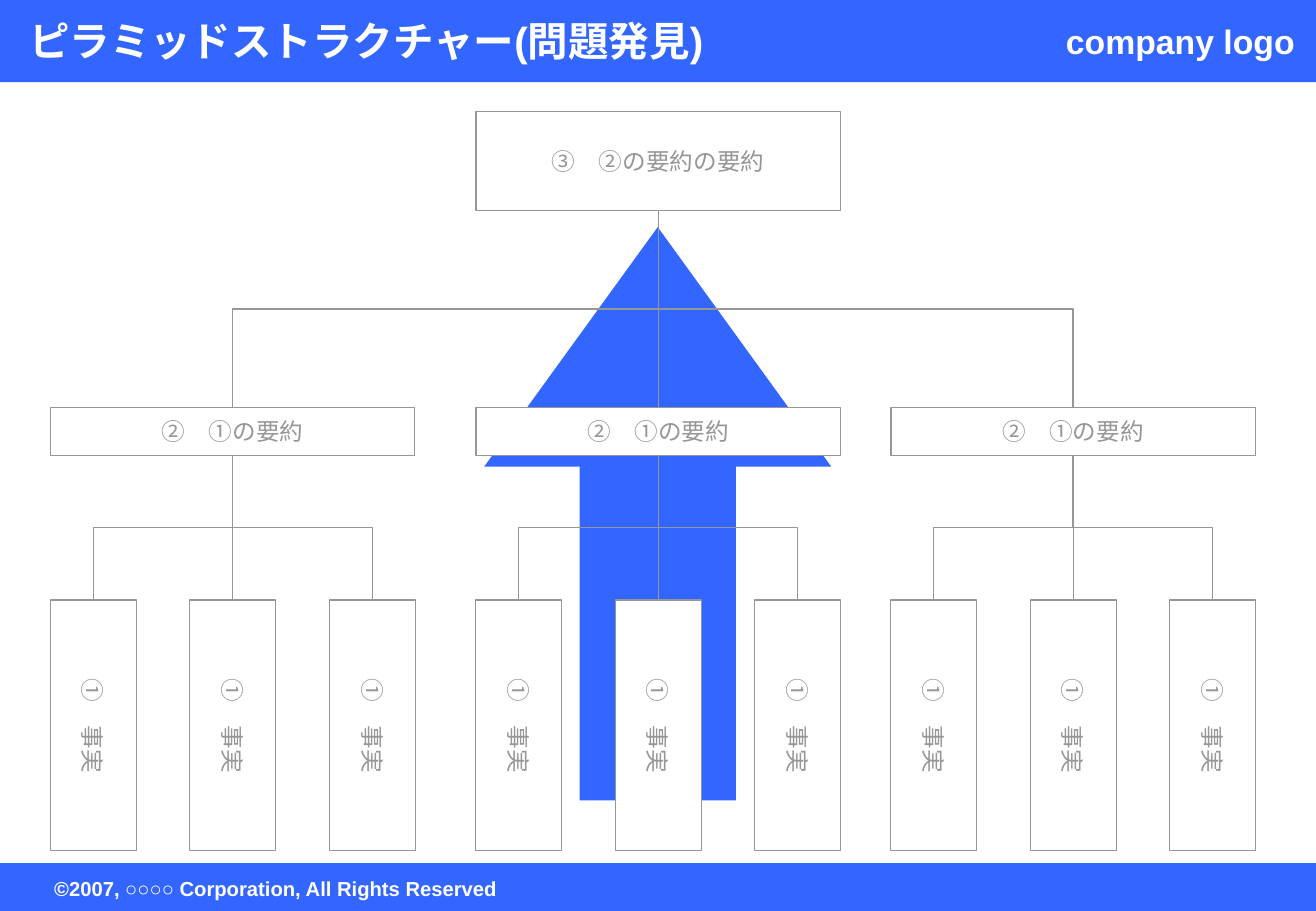
from lxml.etree import SubElement
from pptx import Presentation
from pptx.dml.color import RGBColor
from pptx.enum.shapes import MSO_CONNECTOR, MSO_SHAPE
from pptx.enum.text import MSO_ANCHOR, PP_ALIGN
from pptx.oxml.ns import qn
from pptx.util import Cm, Pt

BLUE = RGBColor(0x33, 0x66, 0xFF)
GREY = RGBColor(0x96, 0x96, 0x96)
WHITE = RGBColor(0xFF, 0xFF, 0xFF)

# All lengths are in centimetres.
SLIDE_WIDTH, SLIDE_HEIGHT = 27.53, 19.05
BRANCH_CENTRES = (4.87, 13.77, 22.45)
FACT_PITCH = 2.92
BOX_WIDTH = 7.62
CONCLUSION_TOP, CONCLUSION_HEIGHT = 2.34, 2.06
SUMMARY_TOP, SUMMARY_HEIGHT = 8.52, 1.0
FACT_TOP, FACT_LENGTH, FACT_BREADTH = 12.55, 5.24, 1.8


def write(shape, text, size, color, align, bold=False, inset=(0, 0)):
    """Put one formatted, vertically centred line of text in a shape."""
    frame = shape.text_frame
    frame.text = text
    frame.vertical_anchor = MSO_ANCHOR.MIDDLE
    frame.margin_left = frame.margin_right = Cm(inset[0])
    frame.margin_top = frame.margin_bottom = Cm(inset[1])
    para = frame.paragraphs[0]
    para.alignment = align
    font = para.runs[0].font
    font.name, font.size, font.bold = "Arial", Pt(size), bold
    font.color.rgb = color


def add_solid(page, kind, left, top, width, height, fill=BLUE):
    """Add a filled shape with neither outline nor shadow."""
    shape = page.shapes.add_shape(kind, Cm(left), Cm(top), Cm(width), Cm(height))
    shape.shadow.inherit = False
    shape.fill.solid()
    shape.fill.fore_color.rgb = fill
    shape.line.fill.background()
    return shape


def add_label(page, text, left, top, width, height, size, align, inset=(0, 0)):
    """Add bold white text on one of the bars."""
    label = page.shapes.add_textbox(Cm(left), Cm(top), Cm(width), Cm(height))
    label.text_frame.word_wrap = False
    write(label, text, size, WHITE, align, True, inset)


def add_box(page, text, centre, top, width, height, turned=False):
    """Add an outlined box; a turned one reads from top to bottom."""
    middle = top + (width if turned else height) / 2
    box = add_solid(page, MSO_SHAPE.RECTANGLE, centre - width / 2,
                    middle - height / 2, width, height, WHITE)
    box.rotation = 90 if turned else 0
    box.line.color.rgb = GREY
    box.line.width = Pt(0.74)
    write(box, text, 14, GREY, PP_ALIGN.CENTER)


def add_link(page, parent, top, child, bottom):
    """Join a parent's bottom to a child's top, by an elbow if they are offset."""
    if parent == child:
        kind, turn = MSO_CONNECTOR.STRAIGHT, 0
        ends = (parent, top, child, bottom)
    else:
        # A standard elbow runs sideways, so lay it flat and turn it upright.
        kind = MSO_CONNECTOR.ELBOW
        turn = 90 if child < parent else 270
        middle_x, middle_y = (parent + child) / 2, (top + bottom) / 2
        reach = (bottom - top) / 2 * (1 if turn == 90 else -1)
        drop = abs(child - parent) / 2
        ends = (middle_x - reach, middle_y - drop, middle_x + reach, middle_y + drop)
    link = page.shapes.add_connector(kind, *(Cm(end) for end in ends))
    link.line.color.rgb = GREY
    link.line.width = Pt(0.74)
    properties = link._element.spPr
    if turn:
        properties.find(qn("a:xfrm")).set("rot", str(turn * 60000))
    SubElement(properties, qn("a:effectLst"))


def add_links(page, parent, top, children, bottom):
    """Join one parent to each of its children."""
    for child in children:
        add_link(page, parent, top, child, bottom)


def add_bars(page):
    """Add the header and footer bars with their texts."""
    add_solid(page, MSO_SHAPE.RECTANGLE, 0, 0, SLIDE_WIDTH, 1.72)
    add_label(page, "company logo", 22.3, 0.43, 4.8, 0.85, 20, PP_ALIGN.LEFT)
    add_solid(page, MSO_SHAPE.RECTANGLE, 0, 18.05, SLIDE_WIDTH, 1)
    add_label(page, "©2007, ○○○○ Corporation, All Rights Reserved",
              0.88, 18.2, 9.78, 0.77, 12, PP_ALIGN.CENTER, (0.25, 0.13))
    add_label(page, "ピラミッドストラクチャー(問題発見)",
              0.36, 0, 19.96, 1.7, 24, PP_ALIGN.LEFT, (0.25, 0.13))


def add_pyramid(page):
    """Add the conclusion, its summaries and their facts, then the links."""
    root = BRANCH_CENTRES[1]
    facts = {centre: [centre + step * FACT_PITCH for step in (-1, 0, 1)]
             for centre in BRANCH_CENTRES}
    add_box(page, "③　②の要約の要約", root, CONCLUSION_TOP, BOX_WIDTH, CONCLUSION_HEIGHT)
    for centre in BRANCH_CENTRES:
        add_box(page, "②　①の要約", centre, SUMMARY_TOP, BOX_WIDTH, SUMMARY_HEIGHT)
        for fact in facts[centre]:
            add_box(page, "①　事実", fact, FACT_TOP, FACT_LENGTH, FACT_BREADTH, True)
    add_links(page, root, CONCLUSION_TOP + CONCLUSION_HEIGHT, BRANCH_CENTRES, SUMMARY_TOP)
    for centre in BRANCH_CENTRES:
        add_links(page, centre, SUMMARY_TOP + SUMMARY_HEIGHT, facts[centre], FACT_TOP)


def main():
    """Build the slide and save it."""
    deck = Presentation()
    deck.slide_width, deck.slide_height = Cm(SLIDE_WIDTH), Cm(SLIDE_HEIGHT)
    page = deck.slides.add_slide(deck.slide_layouts[6])
    add_bars(page)
    arrow = add_solid(page, MSO_SHAPE.UP_ARROW, 10.13, 4.75, 7.26, 11.99)
    arrow.adjustments[0], arrow.adjustments[1] = 0.45, 0.69
    add_pyramid(page)
    deck.save("out.pptx")


main()
